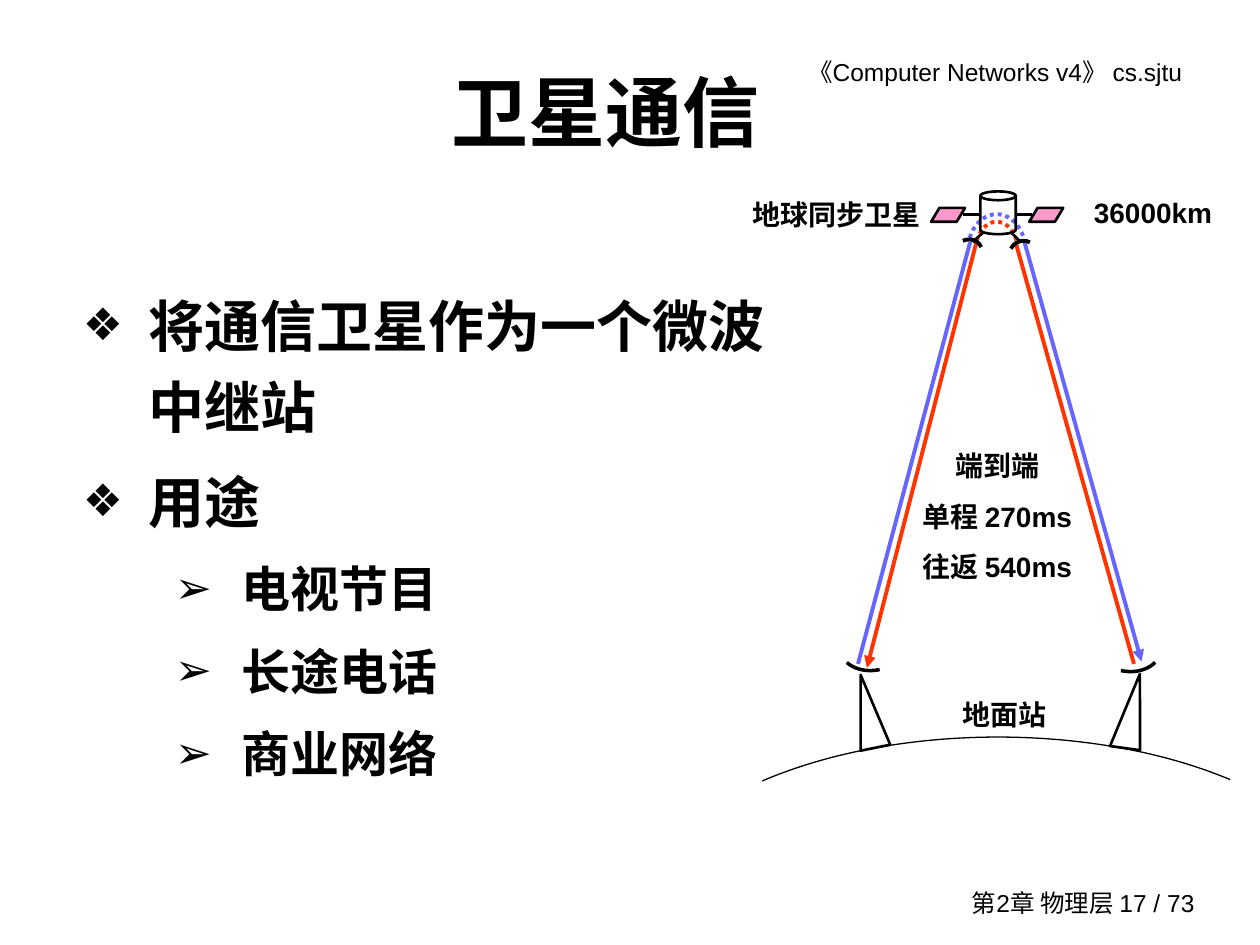
from dataclasses import dataclass

from lxml.etree import SubElement
from pptx import Presentation
from pptx.dml.color import RGBColor
from pptx.enum.dml import MSO_LINE
from pptx.enum.shapes import MSO_CONNECTOR, MSO_SHAPE
from pptx.enum.text import MSO_ANCHOR, PP_ALIGN
from pptx.oxml.ns import qn
from pptx.util import Pt


@dataclass(frozen=True)
class Theme:
    font: str = "Arial"
    ink: str = "000000"
    downlink: str = "FF3300"
    uplink: str = "6666FF"
    panel: str = "FF99CC"
    title: float = 44
    topic: float = 32
    detail: float = 28
    label: float = 16
    running: float = 14


class SlideBuilder:
    def __init__(self, slide, theme):
        self.slide = slide
        self.theme = theme

    def text(self, box, lines, size, bold=True, align=PP_ALIGN.CENTER,
             anchor=MSO_ANCHOR.TOP, spacing=1.0, right_inset=7.2):
        frame = self._frame(box, anchor, right_inset)
        for index, line in enumerate(lines):
            paragraph = self._paragraph(frame, index)
            paragraph.alignment = align
            paragraph.line_spacing = spacing
            self._run(paragraph, line, size, bold)

    def bullets(self, box, items):
        theme = self.theme
        # mark, mark size in percent, left margin, hanging indent, space before, type size
        levels = (("❖", 80, 37.5, 37.5, 8, theme.topic),
                  ("➢", 90, 90.7, 38.2, 7, theme.detail))
        frame = self._frame(box, MSO_ANCHOR.TOP)
        for index, (level, words) in enumerate(items):
            mark, percent, margin, hanging, before, size = levels[level]
            paragraph = self._paragraph(frame, index)
            paragraph.level = level
            paragraph.line_spacing = 1.2
            paragraph.space_before = Pt(before if index else 0)
            properties = paragraph._p.get_or_add_pPr()
            properties.set("marL", str(Pt(margin)))
            properties.set("indent", str(-Pt(hanging)))
            colour = SubElement(properties, qn("a:buClr"))
            SubElement(colour, qn("a:srgbClr"), val=theme.ink)
            SubElement(properties, qn("a:buSzPct"), val=str(percent * 1000))
            SubElement(properties, qn("a:buFont"), typeface=theme.font)
            SubElement(properties, qn("a:buChar"), char=mark)
            self._run(paragraph, words, size, True)

    def shape(self, kind, box, adjustments, fill=None, colour=None, width=1.5, rotation=0):
        shape = self.slide.shapes.add_shape(kind, *map(Pt, box))
        shape.shadow.inherit = False
        shape.rotation = rotation
        for index, value in enumerate(adjustments):
            shape.adjustments[index] = value
        if fill:
            shape.fill.solid()
            shape.fill.fore_color.rgb = RGBColor.from_string(fill)
        else:
            shape.fill.background()
        self._stroke(shape.line, colour, width)
        return shape

    def arc(self, box, start, end, colour=None, width=2.25, rotation=0, dotted=False):
        # Angles are clockwise degrees; adjustments count 100000 units of 1/60000 degree
        angles = (start * 0.6, end * 0.6)
        shape = self.shape(MSO_SHAPE.ARC, box, angles, None, colour, width, rotation)
        if dotted:
            shape.line.dash_style = MSO_LINE.ROUND_DOT

    def line(self, start, end, colour=None, width=1.5, arrow=False):
        connector = self.slide.shapes.add_connector(
            MSO_CONNECTOR.STRAIGHT, *map(Pt, (*start, *end)))
        self._stroke(connector.line, colour, width)
        SubElement(connector._element.spPr, qn("a:effectLst"))
        if arrow:
            SubElement(connector.line._get_or_add_ln(), qn("a:tailEnd"), type="triangle")

    def _stroke(self, line, colour, width):
        line.color.rgb = RGBColor.from_string(colour or self.theme.ink)
        line.width = Pt(width)

    def _frame(self, box, anchor, right_inset=7.2):
        frame = self.slide.shapes.add_textbox(*map(Pt, box)).text_frame
        frame.word_wrap = True
        frame.vertical_anchor = anchor
        frame.margin_left, frame.margin_right = Pt(7.2), Pt(right_inset)
        frame.margin_top = frame.margin_bottom = Pt(3.6)
        return frame

    def _paragraph(self, frame, index):
        return frame.add_paragraph() if index else frame.paragraphs[0]

    def _run(self, paragraph, words, size, bold):
        run = paragraph.add_run()
        run.text = words
        run.font.name = self.theme.font
        run.font.size = Pt(size)
        run.font.bold = bold
        run.font.color.rgb = RGBColor.from_string(self.theme.ink)


def main():
    presentation = Presentation()
    presentation.slide_width, presentation.slide_height = Pt(720), Pt(540)
    theme = Theme()
    builder = SlideBuilder(
        presentation.slides.add_slide(presentation.slide_layouts[6]), theme)

    # Running header and footer
    builder.text((380, 28.8, 310.5, 24.5), ["《Computer Networks v4》 cs.sjtu"],
                 theme.running, bold=False, align=PP_ALIGN.RIGHT, right_inset=15)
    builder.text((527, 504, 162.7, 23.8), ["第2章 物理层 17 / 73"], theme.running,
                 bold=False, align=PP_ALIGN.RIGHT, anchor=MSO_ANCHOR.MIDDLE)

    # Title and bullets
    builder.text((40.3, 18, 612, 90), ["卫星通信"], theme.title, anchor=MSO_ANCHOR.MIDDLE)
    builder.bullets((40.3, 155.5, 422, 324), [
        (0, "将通信卫星作为一个微波中继站"),
        (0, "用途"),
        (1, "电视节目"),
        (1, "长途电话"),
        (1, "商业网络"),
    ])

    # Earth's surface
    builder.arc((360.7, 421.2, 419, 214.6), 211.4, 328, width=0.75)

    # Beams between the ground stations and the satellite
    for top, ground, colour, arrow in (
        (558, (495.4, 381.6), theme.downlink, True),
        (554.4, (490.3, 379.4), theme.uplink, False),
        (580.3, (648, 379.4), theme.downlink, False),
        (585.4, (652.3, 378), theme.uplink, True),
    ):
        builder.line((top, 138.2), ground, colour, 2.25, arrow)
    builder.arc((557.3, 126.7, 24.5, 34.6), 209, 331, theme.downlink, dotted=True)
    builder.arc((553, 122.4, 33.1, 42.5), 207, 333, theme.uplink, dotted=True)

    # Satellite: body, then strut, solar panel, leg and dish on each side
    builder.shape(MSO_SHAPE.CAN, (560.2, 109.4, 20.2, 24.5), [0.25])
    for strut, panel, leg, dish, rotation in (
        ((550.1, 560.2), 532.1, (562.3, 555.8), (545.8, 136.8, 15.8, 15.8), 63.5),
        ((589.7, 580.3), 588.2, (577.4, 583.2), (576.7, 137.5, 15.8, 16.6), 28.2),
    ):
        builder.line((strut[0], 122.4), (strut[1], 122.4))
        builder.shape(MSO_SHAPE.PARALLELOGRAM, (panel, 118.8, 19.4, 7.9), [0.6], theme.panel)
        builder.line((leg[0], 132.5), (leg[1], 138.2))
        builder.arc(dish, 180, 270, rotation=rotation)

    # Ground stations: mast and dish
    for mast, apex, lean, dish, angles, rotation in (
        ((487.4, 385.2, 17.3, 42.5), 0.5, 348.5, (482.4, 341.3), (199, 254), 245.1),
        ((637.2, 384.5, 17.3, 43.2), 0.65, 7.9, (624.2, 342), (285, 343), 113.3),
    ):
        builder.shape(MSO_SHAPE.ISOSCELES_TRIANGLE, mast, [apex], rotation=lean)
        builder.arc((*dish, 36.7, 45.4), *angles, width=2, rotation=rotation)

    # Labels
    for box, words in (
        ((531.4, 395.3, 85, 26.6), "地面站"),
        ((418.3, 109.4, 119.5, 26.6), "地球同步卫星"),
        ((616.3, 108, 85, 26.6), "36000km"),
    ):
        builder.text(box, [words], theme.label)
    builder.text((513.4, 243.4, 113, 93.6), ["端到端", "单程 270ms", "往返 540ms"],
                 theme.label, spacing=1.5)

    presentation.save("out.pptx")


if __name__ == "__main__":
    main()
